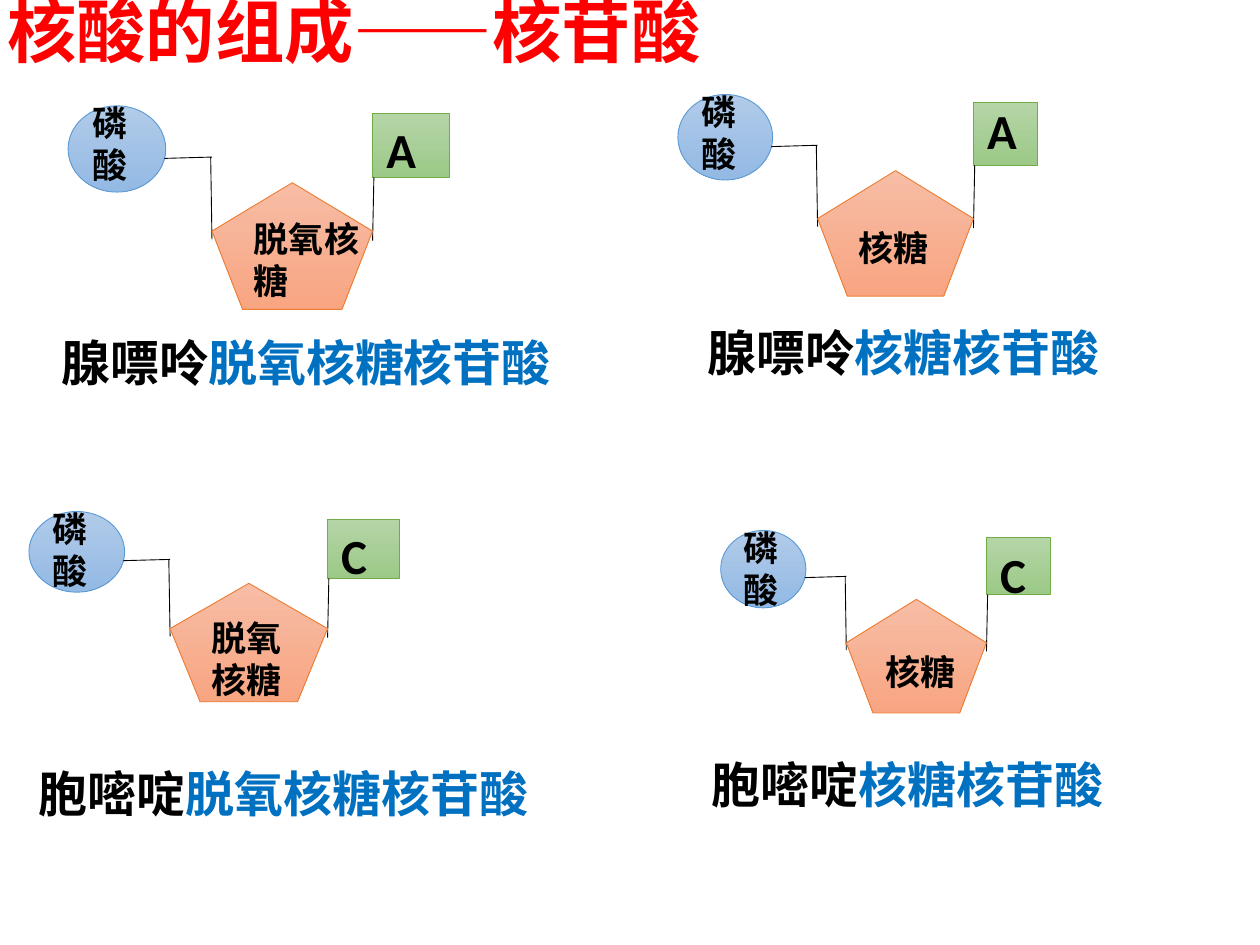
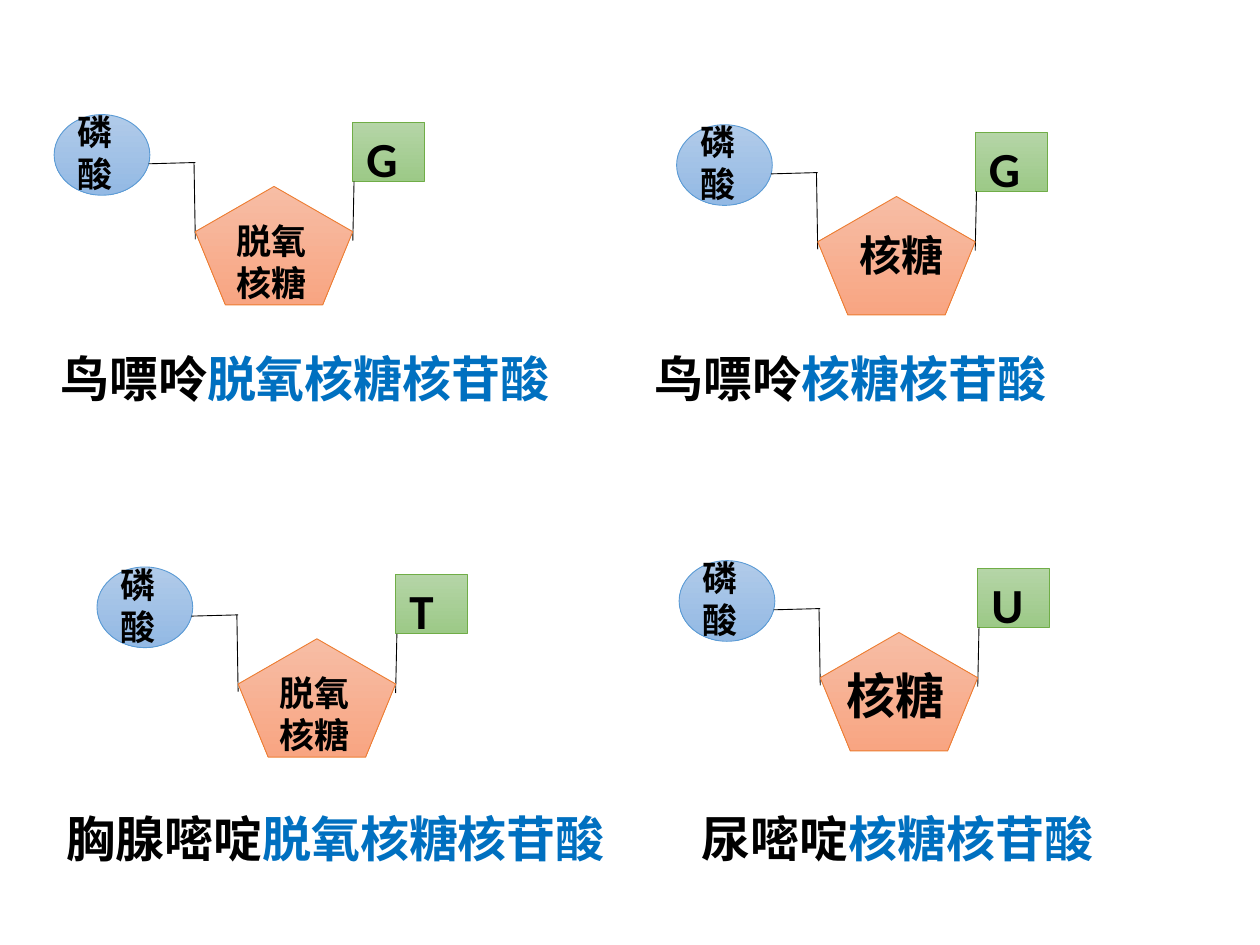
from lxml import etree
from pptx import Presentation
from pptx import util as u
from pptx.dml import color
from pptx.enum import shapes, text
from pptx.oxml import ns

FONT, TITLE_FONT = "Calibri", "Noto Sans CJK SC"
BLACK, RED, BLUE = "000000", "FF0000", "0070C0"
PHOSPHATE = ("B1CBE9", "93B9E4", "5B9BD5")
BASE = ("B5D5A7", "9CC987", "70AD47")
SUGAR = ("F7BDA5", "F8A582", "ED7D31")
DEOXYRIBOSE, RIBOSE = "脱氧核糖", "核糖"


def rgb(value):
    """Turn a hex string into a colour."""
    return color.RGBColor.from_string(value)


def add_text(parent, x, y, w, h, *runs, size=20, font=FONT, spacing=None):
    """Add a bold top-anchored text box from (words, colour) runs."""
    sp = parent.shapes.add_textbox(*map(u.Inches, (x, y, w, h)))
    tf = sp.text_frame
    tf.word_wrap = True
    tf.auto_size = text.MSO_AUTO_SIZE.SHAPE_TO_FIT_TEXT
    p = tf.paragraphs[0]
    p.line_spacing = spacing
    for words, hue in runs:
        r = p.add_run()
        r.text = words
        r.font.name, r.font.size, r.font.bold = font, u.Pt(size), True
        r.font.color.rgb = rgb(hue)
    return sp


def add_part(parent, kind, x, y, w, h, colours):
    """Add a preset shape with a vertical gradient and a thin outline."""
    sp = parent.shapes.add_shape(kind, *map(u.Inches, (x, y, w, h)))
    sp.shadow.inherit = False
    top, bottom, outline = colours
    sp.fill.gradient()
    sp.fill.gradient_angle = 270
    for stop, hue in zip(sp.fill.gradient_stops, (top, bottom)):
        stop.color.rgb = rgb(hue)
    sp.line.color.rgb = rgb(outline)
    sp.line.width = u.Pt(0.5)
    return sp


def add_bond(parent, x1, y1, x2, y2):
    """Add a thin black line between two points."""
    line = parent.shapes.add_connector(
        shapes.MSO_CONNECTOR.STRAIGHT, *map(u.Inches, (x1, y1, x2, y2)))
    line.line.color.rgb = rgb(BLACK)
    line.line.width = u.Pt(0.5)
    etree.SubElement(line._element.spPr, ns.qn("a:effectLst"))
    return line


def add_nucleotide(s, x, y, base, sugar, sx=1, sy=1, base_w=0.57, base_dy=0.06,
                   sugar_at=(1.35, 0.78), sugar_size=20):
    """Add a grouped phosphate, sugar and base, scaled from its top left corner."""
    group = s.shapes.add_group_shape()

    def place(px, py, pw, ph):
        return x + px * sx, y + py * sy, pw * sx, ph * sy

    kinds = shapes.MSO_SHAPE
    add_part(group, kinds.OVAL, *place(0, 0, 0.76, 0.64), PHOSPHATE)
    add_part(group, kinds.RECTANGLE, *place(2.37, 0.06, base_w, 0.47), BASE)
    for x1, y1, x2, y2 in ((2.38, 0.53, 2.37, 1), (1.11, 0.38, 1.12, 0.99),
                           (0.75, 0.39, 1.12, 0.38)):
        add_bond(group, x + x1 * sx, y + y1 * sy, x + x2 * sx, y + y2 * sy)
    add_part(group, kinds.REGULAR_PENTAGON, *place(1.12, 0.57, 1.25, 0.94), SUGAR)

    add_text(group, x + 0.09 * sx, y - 0.08, 0.56 * sx, 0.77, ("磷酸", BLACK))
    dx, dy = sugar_at
    sugar_h = 0.77 if sugar == DEOXYRIBOSE else 0.44
    add_text(group, x + dx * sx, y + dy * sy, 1.02 * sx, sugar_h,
             (sugar, BLACK), size=sugar_size)
    add_text(group, x + 2.38 * sx, y + base_dy, 0.81 * sx, 0.57,
             (base, BLACK), size=28)


def add_caption(s, x, y, w, base_name, sugar):
    """Add the nucleotide name with the sugar part in blue."""
    add_text(s, x, y, w, 0.57, (base_name, BLACK), (sugar + "核苷酸", BLUE), size=28)


def adenine_cytosine(s):
    """Fill the slide on adenine and cytosine nucleotides."""
    add_text(s, -0.04, -0.07, 8.62, 0.82, ("核酸的组成——核苷酸", RED),
             size=39.6, font=TITLE_FONT, spacing=0.9)
    add_nucleotide(s, 0.54, 0.84, "A", DEOXYRIBOSE, 1.02, 1.07, base_w=0.6)
    add_nucleotide(s, 5.38, 0.75, "A", RIBOSE, 0.99, 1.06, base_w=0.51,
                   base_dy=0, sugar_at=(1.35, 0.94))
    add_nucleotide(s, 0.23, 4.06, "C", DEOXYRIBOSE)
    add_nucleotide(s, 5.72, 4.21, "C", RIBOSE, 0.89, 0.96, sugar_at=(1.36, 0.94))
    add_caption(s, 0.39, 2.59, 4.27, "腺嘌呤", DEOXYRIBOSE)
    add_caption(s, 5.52, 2.51, 4.27, "腺嘌呤", RIBOSE)
    add_caption(s, 0.21, 6.01, 4.45, "胞嘧啶", DEOXYRIBOSE)
    add_caption(s, 5.55, 5.94, 3.4, "胞嘧啶", RIBOSE)


def guanine_thymine_uracil(s):
    """Fill the slide on guanine, thymine and uracil nucleotides."""
    add_nucleotide(s, 0.43, 0.91, "G", DEOXYRIBOSE)
    add_nucleotide(s, 5.37, 0.99, "G", RIBOSE, sugar_size=24)
    add_nucleotide(s, 0.77, 4.5, "T", DEOXYRIBOSE)
    add_nucleotide(s, 5.39, 4.45, "U", RIBOSE, sugar_at=(1.23, 0.78), sugar_size=28)
    add_caption(s, 0.38, 2.72, 4.27, "鸟嘌呤", DEOXYRIBOSE)
    add_caption(s, 5.1, 2.72, 4.27, "鸟嘌呤", RIBOSE)
    add_caption(s, 0.43, 6.37, 4.87, "胸腺嘧啶", DEOXYRIBOSE)
    add_caption(s, 5.47, 6.37, 4.4, "尿嘧啶", RIBOSE)


def main():
    """Build and save the presentation."""
    prs = Presentation()
    prs.slide_width, prs.slide_height = u.Inches(10), u.Inches(7.5)
    for fill_slide in (adenine_cytosine, guanine_thymine_uracil):
        fill_slide(prs.slides.add_slide(prs.slide_layouts[6]))
    prs.save("out.pptx")


if __name__ == "__main__":
    main()
